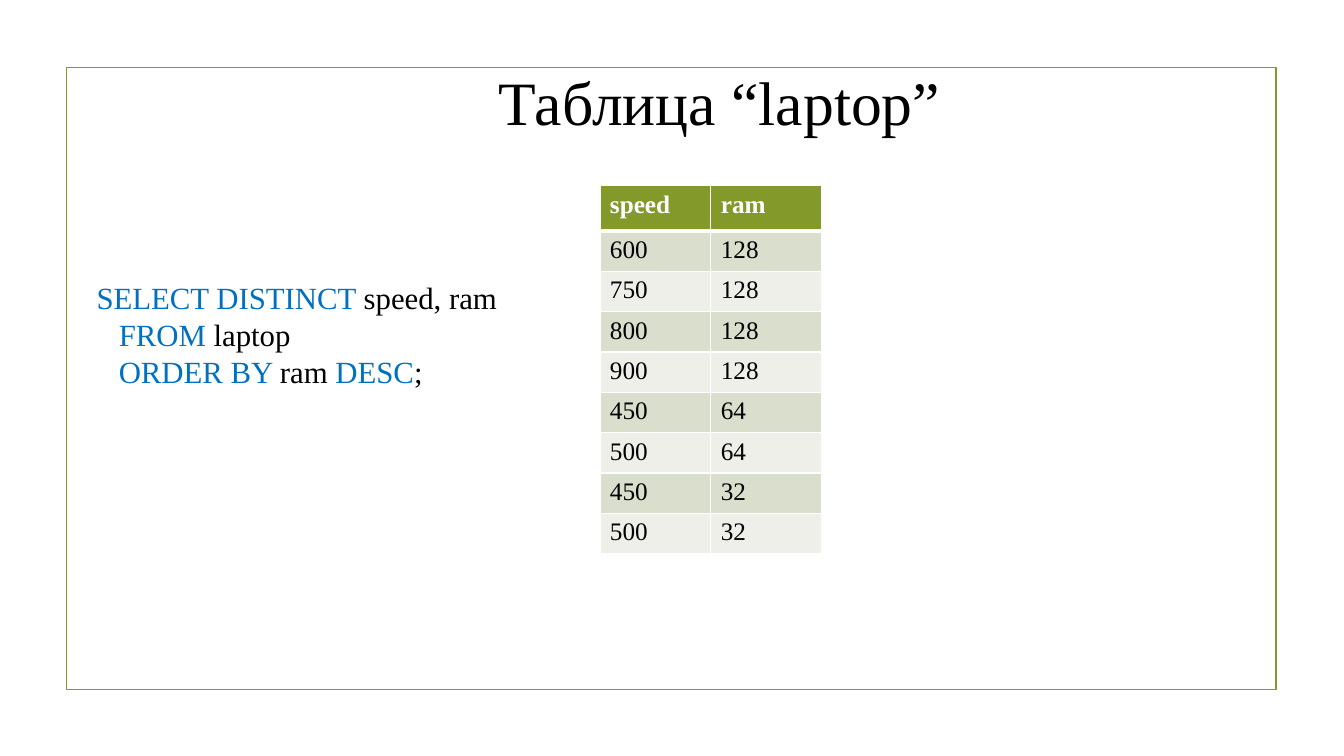
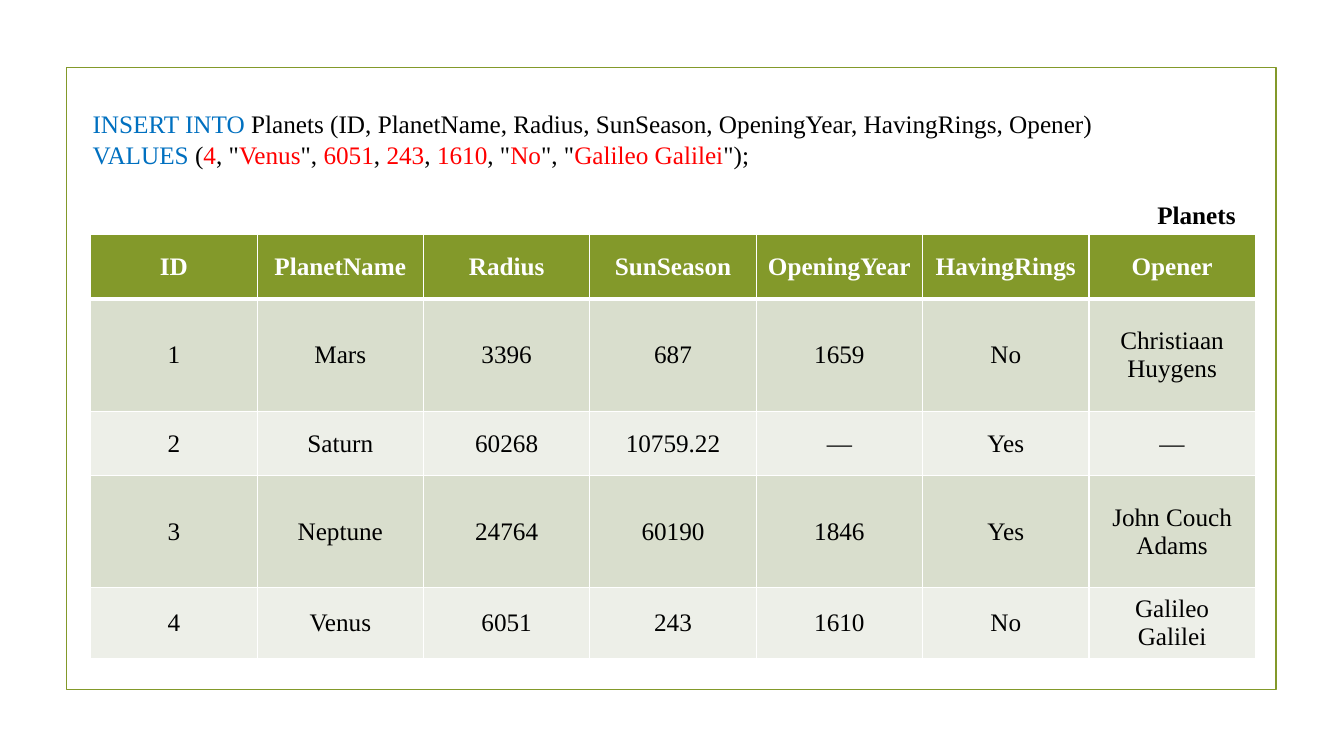
import dataclasses

import lxml.etree
import pptx
import pptx.dml.color
import pptx.enum.shapes
import pptx.enum.text
import pptx.oxml.ns
import pptx.util

Inches = pptx.util.Inches
Pt = pptx.util.Pt
ALIGN = pptx.enum.text.PP_ALIGN
ANCHOR = pptx.enum.text.MSO_ANCHOR


def rgb(value):
    return pptx.dml.color.RGBColor.from_string(value)


@dataclasses.dataclass(frozen=True)
class Theme:
    font: str = "Times New Roman"
    accent: str = "83992A"
    bands: tuple = ("D9DECD", "EDEFE8")
    white: str = "FFFFFF"
    text: str = "000000"
    keyword: str = "0070C0"
    value: str = "FF0000"
    title_size: int = 44
    query_size: int = 22
    body_size: int = 18
    leading: float = 1.2
    frame_line: float = 1.25
    cell_line: int = 1
    header_line: int = 3


class Deck:
    def __init__(self, theme):
        self.theme = theme
        self.prs = pptx.Presentation()
        self.prs.slide_width = Inches(13.33)
        self.prs.slide_height = Inches(7.5)
        self.s = None

    def slide(self):
        self.s = self.prs.slides.add_slide(self.prs.slide_layouts[6])
        sp = self.s.shapes.add_shape(
            pptx.enum.shapes.MSO_SHAPE.RECTANGLE,
            Inches(0.66), Inches(0.67), Inches(12), Inches(6.17))
        sp.shadow.inherit = False
        sp.fill.background()
        sp.line.color.rgb = rgb(self.theme.accent)
        sp.line.width = Pt(self.theme.frame_line)

    def style(self, p, size, color, bold=False):
        p.font.name = self.theme.font
        p.font.size = Pt(size)
        p.font.bold = bold
        p.font.color.rgb = rgb(color)

    def text(self, x, y, w, h, lines, size, bold=False, hanging=0):
        sp = self.s.shapes.add_textbox(Inches(x), Inches(y), Inches(w), Inches(h))
        tf = sp.text_frame
        tf.word_wrap = True
        for i, runs in enumerate(lines):
            p = tf.add_paragraph() if i else tf.paragraphs[0]
            self.style(p, size, self.theme.text, bold)
            p.line_spacing = Pt(size * self.theme.leading)
            if i and hanging:
                p._p.get_or_add_pPr().set("marL", str(Inches(hanging)))
            for content, color in runs:
                r = p.add_run()
                r.text = content
                r.font.color.rgb = rgb(color)

    def title(self, content):
        self.text(4.85, 0.58, 4.73, 0.84, [[(content, self.theme.text)]],
                  self.theme.title_size)

    def border(self, cell, side, width):
        qn = pptx.oxml.ns.qn
        ln = lxml.etree.SubElement(
            cell._tc.get_or_add_tcPr(), qn("a:ln" + side), w=str(Pt(width)))
        fill = lxml.etree.SubElement(ln, qn("a:solidFill"))
        lxml.etree.SubElement(fill, qn("a:srgbClr"), val=self.theme.white)

    def table(self, x, y, col_width, row_heights, rows, centred=False):
        t = self.theme
        shape = self.s.shapes.add_table(
            len(rows), len(rows[0]), Inches(x), Inches(y),
            Inches(col_width * len(rows[0])), Inches(sum(row_heights)))
        table = shape.table
        for col in table.columns:
            col.width = Inches(col_width)
        for i, (height, row) in enumerate(zip(row_heights, rows)):
            table.rows[i].height = Inches(height)
            header = i == 0
            for j, content in enumerate(row):
                cell = table.cell(i, j)
                for side in "LRTB":
                    thick = (i, side) in ((0, "B"), (1, "T"))
                    self.border(cell, side, t.header_line if thick else t.cell_line)
                cell.fill.solid()
                cell.fill.fore_color.rgb = rgb(t.accent if header else t.bands[(i - 1) % 2])
                cell.text = content
                p = cell.text_frame.paragraphs[0]
                self.style(p, t.body_size, t.white if header else t.text, header)
                if centred:
                    p.alignment = ALIGN.CENTER
                    cell.vertical_anchor = ANCHOR.MIDDLE


def laptop_slide(deck):
    t = deck.theme
    deck.slide()
    deck.text(0.86, 2.72, 4.6, 1.25, [
        [("SELECT DISTINCT ", t.keyword), ("speed, ram", t.text)],
        [("FROM ", t.keyword), ("laptop", t.text)],
        [("ORDER BY ", t.keyword), ("ram", t.text), (" DESC", t.keyword), (";", t.text)],
    ], t.query_size, hanging=0.22)
    deck.title("Таблица “laptop”")
    rows = [
        ("speed", "ram"),
        ("600", "128"),
        ("750", "128"),
        ("800", "128"),
        ("900", "128"),
        ("450", "64"),
        ("500", "64"),
        ("450", "32"),
        ("500", "32"),
    ]
    deck.table(5.95, 1.84, 1.1, [0.45] + [0.4] * 8, rows)


def planets_slide(deck):
    t = deck.theme
    deck.slide()
    rows = [
        ("ID", "PlanetName", "Radius", "SunSeason", "OpeningYear", "HavingRings", "Opener"),
        ("1", "Mars", "3396", "687", "1659", "No", "Christiaan Huygens"),
        ("2", "Saturn", "60268", "10759.22", "—", "Yes", "—"),
        ("3", "Neptune", "24764", "60190", "1846", "Yes", "John Couch Adams"),
        ("4", "Venus", "6051", "243", "1610", "No", "Galileo Galilei"),
    ]
    deck.table(0.9, 2.33, 1.65, [0.64, 1.11, 0.64, 1.11, 0.64], rows, centred=True)
    deck.text(0.82, 1.03, 11.81, 0.71, [
        [("INSERT INTO ", t.keyword), (f"Planets ({', '.join(rows[0])})", t.text)],
        [("VALUES ", t.keyword), ("(", t.text), ("4", t.value), (', "', t.text),
         ("Venus", t.value), ('", ', t.text), ("6051", t.value), (", ", t.text),
         ("243", t.value), (", ", t.text), ("1610", t.value), (', "', t.text),
         ("No", t.value), ('", "', t.text), ("Galileo Galilei", t.value), ('");', t.text)],
    ], t.body_size)
    deck.text(11.38, 1.93, 1.2, 0.4, [[("Planets", t.text)]], t.body_size, bold=True)


def main():
    deck = Deck(Theme())
    laptop_slide(deck)
    planets_slide(deck)
    deck.prs.save("out.pptx")


if __name__ == "__main__":
    main()
